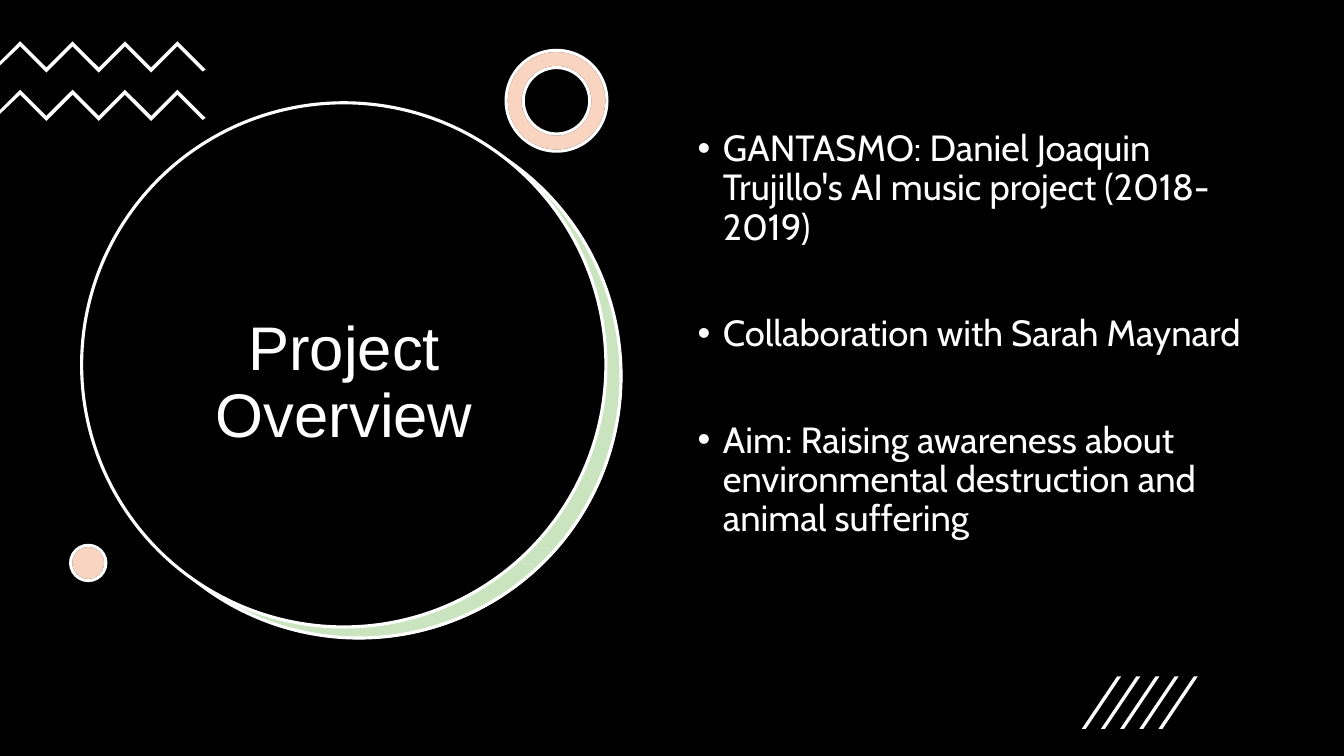
from lxml import etree
from pptx import Presentation
from pptx import util as u
from pptx.dml.color import RGBColor
from pptx.enum import shapes, text
from pptx.oxml import ns

PX = u.Inches(1) // 100
WHITE = RGBColor(255, 255, 255)
BLACK = RGBColor(0, 0, 0)
GREEN = RGBColor(0x4E, 0xA7, 0x2E)
ORANGE = RGBColor(0xE9, 0x71, 0x32)
OVAL = shapes.MSO_SHAPE.OVAL
DONUT = shapes.MSO_SHAPE.DONUT


def paint(item, fill, line=None, alpha=None):
    item.shadow.inherit = False
    item.fill.solid()
    item.fill.fore_color.rgb = fill
    if alpha:
        color = item.fill._xPr.find(".//" + ns.qn("a:srgbClr"))
        etree.SubElement(color, ns.qn("a:alpha"), val=str(alpha * 1000))
    if line is None:
        item.line.fill.background()
    else:
        item.line.color.rgb = line
        item.line.width = u.Pt(2.25)


def place(item, left, top, width, height):
    item.left, item.top = left * PX, top * PX
    item.width, item.height = width * PX, height * PX


deck = Presentation()
deck.slide_width, deck.slide_height = 1333 * PX, 750 * PX
slide = deck.slides.add_slide(deck.slide_layouts[1])
title, body = slide.placeholders
tree = slide.shapes

back = tree.add_shape(shapes.MSO_SHAPE.RECTANGLE, 0, 0, deck.slide_width, deck.slide_height)
paint(back, BLACK)

rounds = [
    (OVAL, 97, 114, 520, WHITE, None, None),
    (OVAL, 96, 113, 520, GREEN, WHITE, 30),
    (OVAL, 81, 102, 520, BLACK, WHITE, None),
    (DONUT, 502, 50, 100, WHITE, BLACK, None),
    (DONUT, 502, 50, 100, ORANGE, WHITE, 30),
    (OVAL, 70, 541, 35, WHITE, BLACK, None),
    (OVAL, 70, 541, 35, ORANGE, WHITE, 30),
]
for kind, left, top, size, fill, line, alpha in rounds:
    disc = tree.add_shape(kind, left * PX, top * PX, size * PX, size * PX)
    if kind == DONUT:
        disc.adjustments[0] = 0.17
    paint(disc, fill, line, alpha)

peaks = [(20 + 26 * i, 26 * (i % 2)) for i in range(7)]
lower = [(x, y + 5) for x, y in reversed(peaks)]
zigzag = [(0, 20), *peaks, (204, 28), (201, 30), *lower, (0, 24)]
slash = [(4, 52), (0, 52), (35, 0), (39, 0)]
marks = [(zigzag, 0, top) for top in (41, 89)]
marks += [(slash, 1073 + 19 * i, 671) for i in range(5)]
for shape, left, top in marks:
    points = [(left + x, top + y) for x, y in shape]
    path = tree.build_freeform(*points[0], scale=PX)
    path.add_line_segments(points[1:], close=True)
    paint(path.convert_to_shape(), WHITE)

place(title, 121, 205, 441, 352)
title.text_frame.text = "Project Overview"
head = title.text_frame.paragraphs[0]
head.alignment = text.PP_ALIGN.CENTER
head.font.size, head.font.name = u.Pt(44), "Arial"

place(body, 682, 124, 571, 476)
body.text_frame.text = "\n".join([
    "GANTASMO: Daniel Joaquin Trujillo's AI music project (2018-2019)",
    "Collaboration with Sarah Maynard",
    "Aim: Raising awareness about environmental destruction and animal suffering",
])
for i, para in enumerate(body.text_frame.paragraphs):
    para.space_before = u.Pt(48 if i else 10)
    para.font.size, para.font.name = u.Pt(26), "Cabin"
    props = para._p.get_or_add_pPr()
    props.set("marL", str(25 * PX))
    props.set("indent", str(-25 * PX))
    etree.SubElement(props, ns.qn("a:buChar"), char="•")
    props.insert_element_before(props[-1], "a:defRPr")

for holder, anchor in ((title, text.MSO_ANCHOR.MIDDLE), (body, text.MSO_ANCHOR.TOP)):
    frame = holder.text_frame
    frame.auto_size = text.MSO_AUTO_SIZE.NONE
    frame.vertical_anchor = anchor
    for para in frame.paragraphs:
        para.line_spacing = 0.9
        para.font.color.rgb = WHITE
    tree._spTree.append(holder._element)

deck.save("out.pptx")
